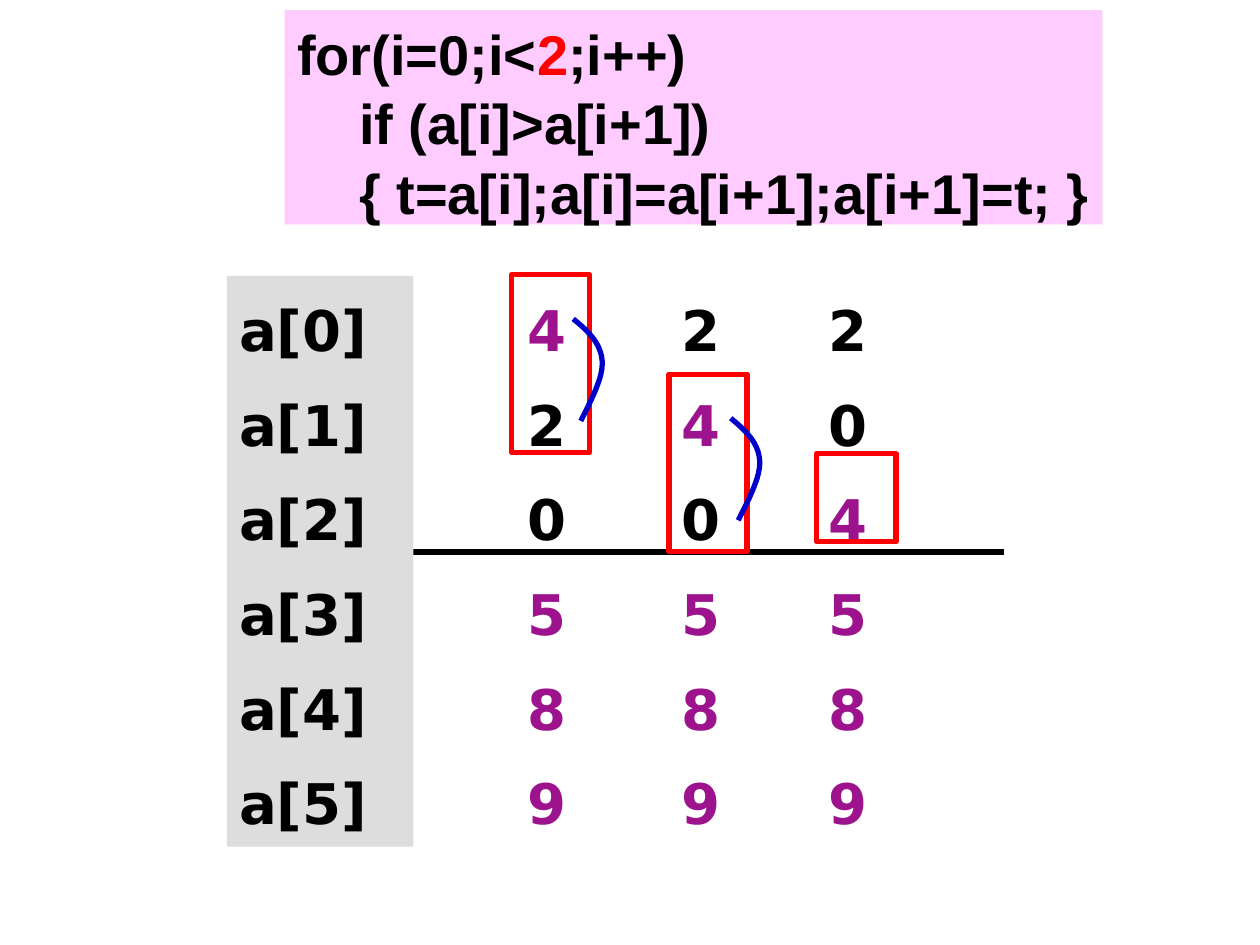
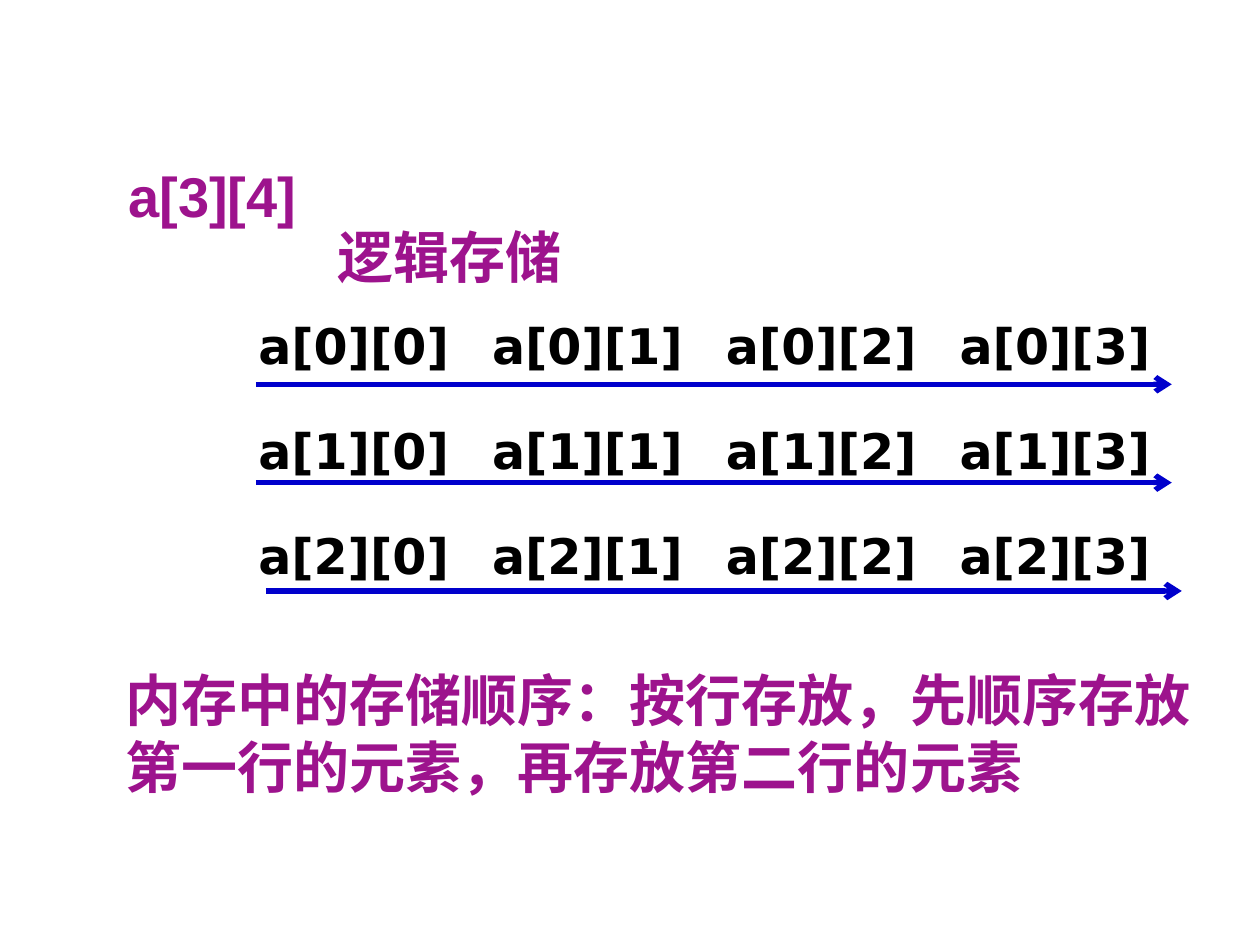
from dataclasses import dataclass

from lxml.etree import SubElement
from pptx import Presentation
from pptx.dml.color import RGBColor
from pptx.enum.shapes import MSO_CONNECTOR, MSO_SHAPE
from pptx.enum.text import MSO_ANCHOR, PP_ALIGN
from pptx.oxml.ns import qn
from pptx.util import Pt


@dataclass(frozen=True)
class Theme:
    black: RGBColor = RGBColor(0, 0, 0)
    white: RGBColor = RGBColor(255, 255, 255)
    purple: RGBColor = RGBColor(0x9D, 0x13, 0x8D)
    red: RGBColor = RGBColor(255, 0, 0)
    blue: RGBColor = RGBColor(0, 0, 0xCC)
    gray: RGBColor = RGBColor(0xDD, 0xDD, 0xDD)
    pink: RGBColor = RGBColor(255, 0xCC, 255)
    sans: str = "Arial"
    mono: str = "DejaVu Sans"
    large: Pt = Pt(32)
    medium: Pt = Pt(28)
    stroke: Pt = Pt(3)


T = Theme()


def write(tf, lines, font, size=T.large, **para):
    """Fill tf with lines, each a list of (text, color) runs."""
    tf.word_wrap = True
    for n, runs in enumerate(lines):
        p = tf.add_paragraph() if n else tf.paragraphs[0]
        p.alignment = PP_ALIGN.LEFT
        for key, value in para.items():
            if n or key != "space_before":
                setattr(p, key, value)
        for text, color in runs:
            r = p.add_run()
            r.text = text
            for key, value in dict(name=font, size=size, bold=True).items():
                setattr(r.font, key, value)
            r.font.color.rgb = color


def add_line(s, x1, x2, y, color, arrow=False):
    c = s.shapes.add_connector(MSO_CONNECTOR.STRAIGHT, Pt(x1), Pt(y), Pt(x2), Pt(y))
    c.line.color.rgb = color
    c.line.width = T.stroke
    if arrow:
        SubElement(c.line._get_or_add_ln(), qn("a:tailEnd"), type="arrow")
    SubElement(c._element.spPr, qn("a:effectLst"))


prs = Presentation()
prs.slide_width, prs.slide_height = Pt(720), Pt(540)
blank = prs.slide_layouts[6]

# Slide 1: one pass of bubble sort
s = prs.slides.add_slide(blank)
add_line(s, 236.2, 573.8, 315.4, T.black)

top, height = 157.7, 326.2
spacing = dict(line_spacing=1.2, space_before=Pt(8))
passes = [
    (294.5, [4, 2, 0, 5, 8, 9], (292.3, 157, 44.6, 101.5)),
    (382.3, [2, 4, 0, 5, 8, 9], (382.3, 213.8, 44.6, 101.5)),
    (466.6, [2, 0, 4, 5, 8, 9], (466.6, 259.2, 45.4, 50.4)),
]
# Bezier control points of the swap curve, measured from its frame
swap = [
    [(39.6, 83.5), (46.1, 70.6), (52.6, 58.3), (51.8, 49)],
    [(51.8, 49), (51.1, 38.9), (43.2, 31.7), (35.3, 25.2)],
]
steps = 12
for x, values, frame in passes:
    sp = s.shapes.add_textbox(Pt(x), Pt(top), Pt(56.2), Pt(height))
    lines = [[(str(v), T.purple if v >= 4 else T.black)] for v in values]
    write(sp.text_frame, lines, T.mono, **spacing)

    sp = s.shapes.add_shape(MSO_SHAPE.FLOWCHART_PROCESS, *map(Pt, frame))
    sp.fill.background()
    outlines = [(sp, T.red)]
    left, y, _, frame_height = frame
    if frame_height > 100:
        points = []
        for a, b, c, d in swap:
            for n in range(steps + 1):
                t = n / steps
                weights = (1 - t) ** 3, 3 * t * (1 - t) ** 2, 3 * t**2 * (1 - t), t**3
                dx, dy = (sum(w * v for w, v in zip(weights, axis)) for axis in zip(a, b, c, d))
                points.append((Pt(left + dx), Pt(y + dy)))
        fb = s.shapes.build_freeform(*points[0])
        fb.add_line_segments(points[1:], close=False)
        curve = fb.convert_to_shape()
        curve.fill.background()
        outlines.append((curve, T.blue))
    for sp, color in outlines:
        sp.shadow.inherit = False
        sp.line.color.rgb = color
        sp.line.width = T.stroke

labels = [[(f"a[{i}]", T.black)] for i in range(6)]
code = [
    [("for(i=0;i<", T.black), ("2", T.red), (";i++)", T.black)],
    [("    if (a[i]>a[i+1])", T.black)],
    [("    { t=a[i];a[i]=a[i+1];a[i+1]=t; }", T.black)],
]
panels = [
    ((129.6, top, 106.6, height), T.gray, labels, T.mono, spacing),
    ((162.7, 5.8, 467.3, 122.4), T.pink, code, T.sans, dict(line_spacing=1.04)),
]
for box, fill, lines, font, para in panels:
    sp = s.shapes.add_shape(MSO_SHAPE.RECTANGLE, *map(Pt, box))
    sp.shadow.inherit = False
    sp.fill.solid()
    sp.fill.fore_color.rgb = fill
    sp.line.fill.background()
    sp.text_frame.vertical_anchor = MSO_ANCHOR.TOP
    write(sp.text_frame, lines, font, **para)
sp.text_frame.word_wrap = False

# Slide 2: storage order of a two-dimensional array
s = prs.slides.add_slide(blank)
rows, cols = 3, 4
table = s.shapes.add_table(rows, cols, Pt(140.4), Pt(168.5), Pt(534.4), Pt(180)).table
for i in range(rows):
    for j in range(cols):
        cell = table.cell(i, j)
        cell.fill.solid()
        cell.fill.fore_color.rgb = T.white
        cell.vertical_anchor = MSO_ANCHOR.MIDDLE
        write(cell.text_frame, [[(f"a[{i}][{j}]", T.black)]], T.mono, T.medium)

for x, y in [(146.2, 219.6), (146.2, 275.8), (151.9, 337.7)]:
    add_line(s, x, x + 523.4, y, T.blue, arrow=True)

captions = [
    ((185.8, 123.8, 264.2, 46.1), "逻辑存储"),
    ((64.8, 376.6, 623.5, 84.2), "内存中的存储顺序：按行存放，先顺序存放第一行的元素，再存放第二行的元素"),
    ((66.2, 88.6, 114.5, 46.1), "a[3][4]"),
]
for box, text in captions:
    sp = s.shapes.add_textbox(*map(Pt, box))
    write(sp.text_frame, [[(text, T.purple)]], T.sans)

prs.save("out.pptx")
